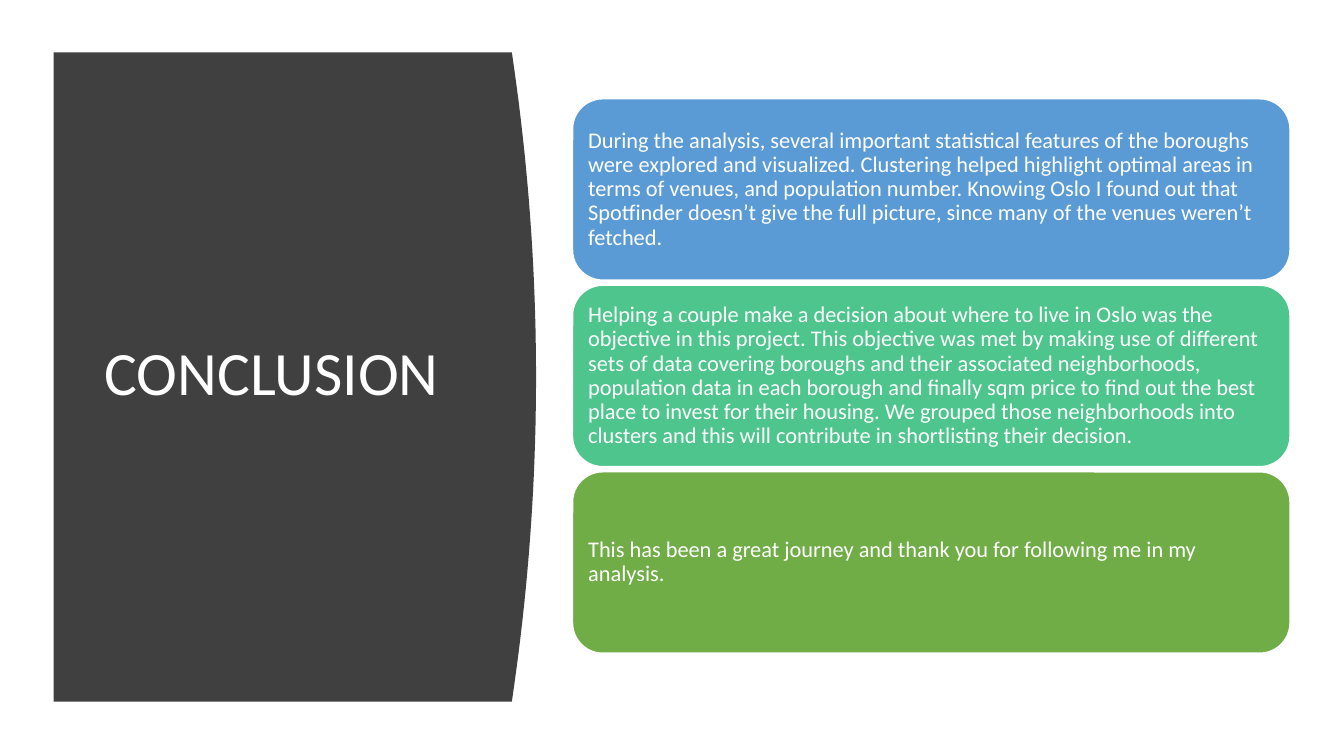
"""Build the conclusion slide with a curved title panel and three cards."""
from pptx import Presentation
from pptx.dml.color import RGBColor
from pptx.enum.shapes import MSO_SHAPE
from pptx.enum.text import MSO_ANCHOR, PP_ALIGN
from pptx.util import Cm, Pt

ROUNDED = MSO_SHAPE.ROUNDED_RECTANGLE
MIDDLE = MSO_ANCHOR.MIDDLE
LEFT = PP_ALIGN.LEFT

WHITE = RGBColor(0xFF, 0xFF, 0xFF)
CHARCOAL = RGBColor(0x40, 0x40, 0x40)
BLUE = RGBColor(0x5B, 0x9B, 0xD5)
TEAL = RGBColor(0x4D, 0xC5, 0x8D)
GREEN = RGBColor(0x70, 0xAD, 0x47)

FONT = "Calibri"
CURVE_STEPS = 40
CARD_TOP = 2.49
CARD_PITCH = 4.7

CARDS = [
    (BLUE, "During the analysis, several important statistical features of the "
           "boroughs were explored and visualized. Clustering helped highlight "
           "optimal areas in terms of venues, and population number. Knowing Oslo "
           "I found out that Spotfinder doesn’t give the full picture, since many "
           "of the venues weren’t fetched."),
    (TEAL, "Helping a couple make a decision about where to live in Oslo was the "
           "objective in this project. This objective was met by making use of "
           "different sets of data covering boroughs and their associated "
           "neighborhoods, population data in each borough and finally sqm price "
           "to find out the best place to invest for their housing. We grouped "
           "those neighborhoods into clusters and this will contribute in "
           "shortlisting their decision."),
    (GREEN, "This has been a great journey and thank you for following me in my "
            "analysis."),
]


def write_text(shape, text, size):
    """Put one white, left-aligned paragraph in the middle of a shape."""
    frame = shape.text_frame
    frame.word_wrap = True
    frame.vertical_anchor = MIDDLE
    para = frame.paragraphs[0]
    para.text = text
    para.alignment = LEFT
    para.line_spacing = 0.9
    font = para.runs[0].font
    font.name = FONT
    font.size = Pt(size)
    font.color.rgb = WHITE


def add_panel(slide):
    """Draw the dark panel whose right edge bulges as a parabola."""
    left, top, right, bottom, bulge = 1.35, 1.32, 12.9, 17.68, 0.61
    edge = []
    for step in range(CURVE_STEPS + 1):
        part = step / CURVE_STEPS
        x = right + bulge * 4 * part * (1 - part)
        y = top + (bottom - top) * part
        edge.append((Cm(x), Cm(y)))
    builder = slide.shapes.build_freeform(Cm(left), Cm(top))
    builder.add_line_segments(edge + [(Cm(left), Cm(bottom))], close=True)
    panel = builder.convert_to_shape()
    panel.shadow.inherit = False
    panel.fill.solid()
    panel.fill.fore_color.rgb = CHARCOAL
    panel.line.fill.background()


def add_title(slide, text):
    """Add the slide title over the panel."""
    box = slide.shapes.add_textbox(Cm(2.39), Cm(2.82), Cm(9.5), Cm(13.31))
    write_text(box, text, 44)


def add_card(slide, top, color, text):
    """Add a rounded card with its statement."""
    card = slide.shapes.add_shape(ROUNDED, Cm(14.43), Cm(top), Cm(18.08), Cm(4.57))
    card.shadow.inherit = False
    card.fill.solid()
    card.fill.fore_color.rgb = color
    card.line.color.rgb = WHITE
    card.line.width = Pt(1)
    frame = card.text_frame
    frame.margin_left = frame.margin_right = Cm(0.17)
    frame.margin_top = frame.margin_bottom = Cm(0.17)
    write_text(card, text, 16)


def main():
    """Build and save the deck."""
    deck = Presentation()
    deck.slide_width = Cm(33.87)
    deck.slide_height = Cm(19.05)
    slide = deck.slides.add_slide(deck.slide_layouts[6])
    add_panel(slide)
    add_title(slide, "CONCLUSION")
    for index, (color, text) in enumerate(CARDS):
        add_card(slide, CARD_TOP + index * CARD_PITCH, color, text)
    deck.save("out.pptx")


if __name__ == "__main__":
    main()
